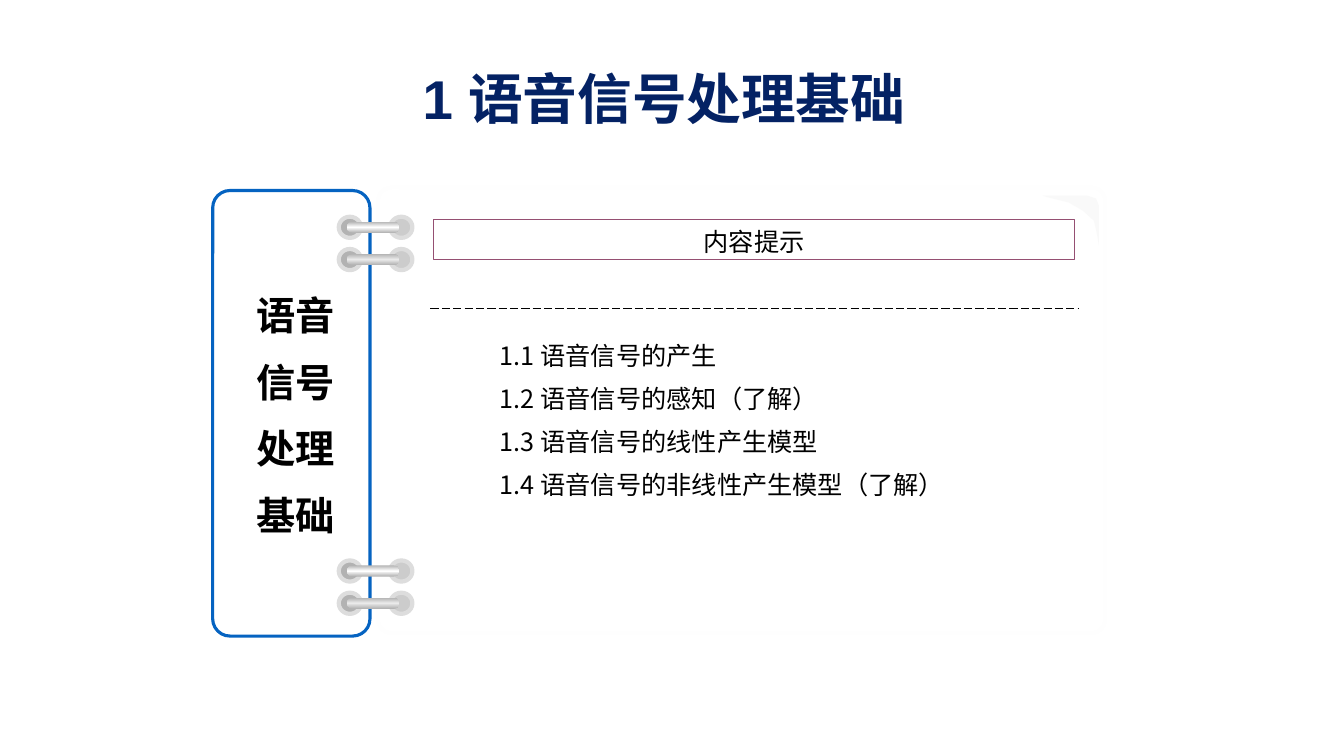
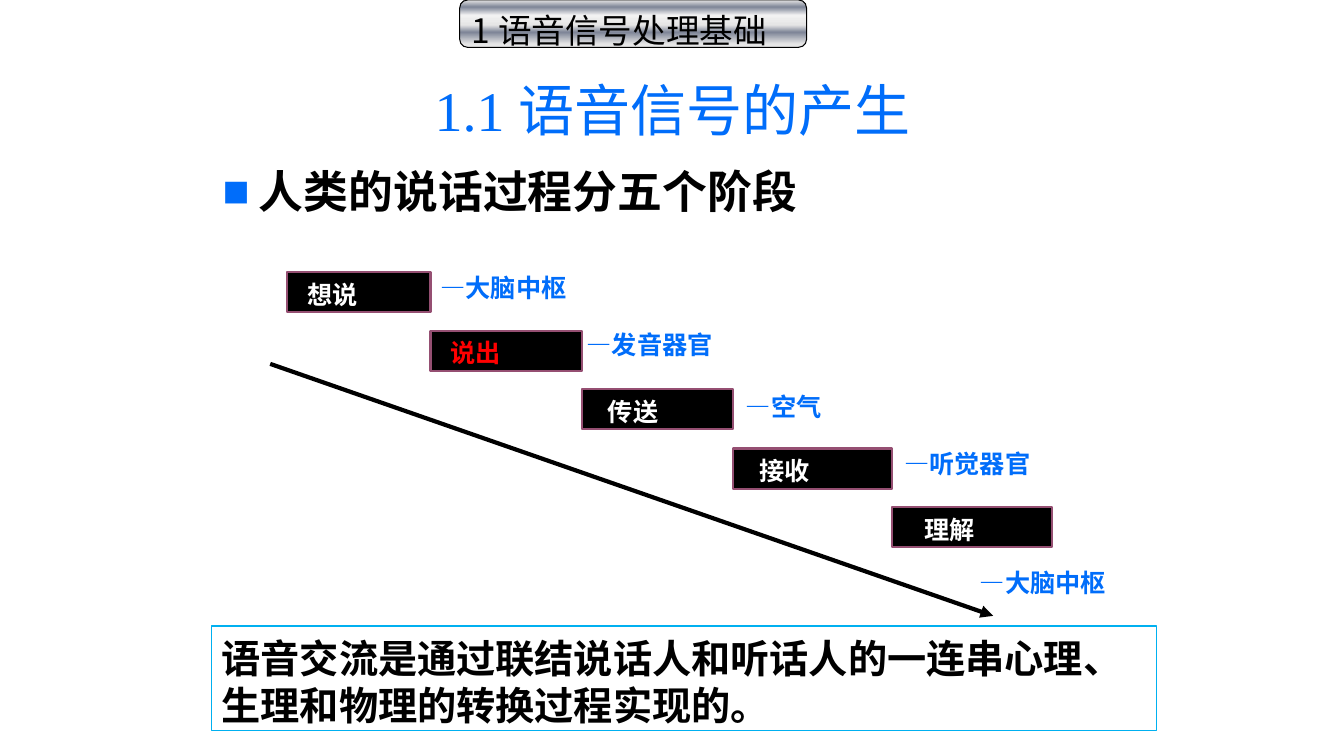
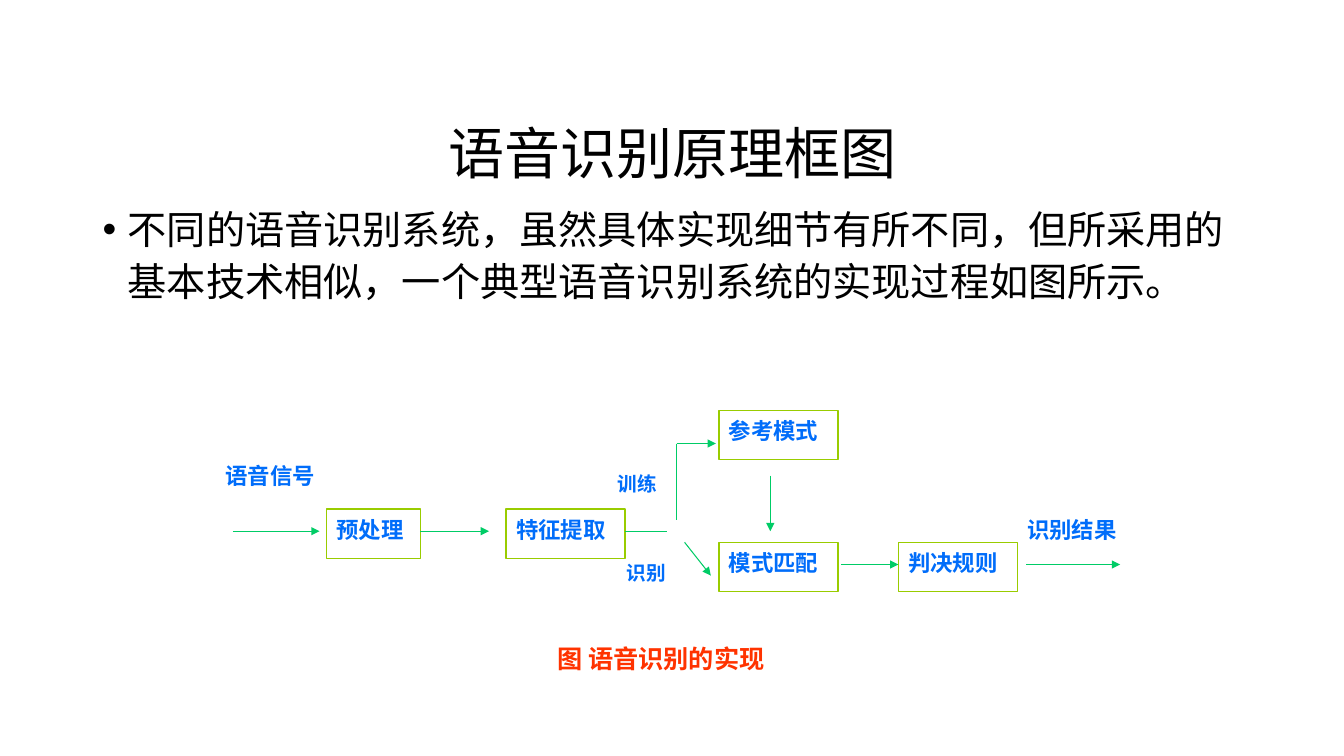
import lxml.etree
import pptx
import pptx.dml.color
import pptx.enum.dml
import pptx.enum.shapes
import pptx.enum.text
import pptx.oxml.ns
import pptx.util

PX = 9144  # one hundredth of an inch in EMU
CJK = "Noto Sans CJK SC"
RGBColor = pptx.dml.color.RGBColor
BLACK = RGBColor(0x00, 0x00, 0x00)
WHITE = RGBColor(0xFF, 0xFF, 0xFF)
NAVY = RGBColor(0x04, 0x22, 0x64)
BLUE = RGBColor(0x00, 0x6D, 0xFA)
BORDER_BLUE = RGBColor(0x05, 0x63, 0xC1)
SKY = RGBColor(0x00, 0xB0, 0xF0)
PLUM = RGBColor(0x95, 0x4F, 0x72)
RED = RGBColor(0xFF, 0x00, 0x00)
ORANGE = RGBColor(0xFF, 0x33, 0x00)
LIME = RGBColor(0x99, 0xCC, 0x00)
GREEN = RGBColor(0x00, 0xCC, 0x66)
PAGE_EDGE = RGBColor(0xFE, 0xFE, 0xFE)
FOLD = RGBColor(0xF9, 0xF9, 0xF9)
RING = RGBColor(0xDD, 0xDD, 0xDD)
BAR_GREY = RGBColor(0xB2, 0xB2, 0xB2)
BAR_LIGHT = RGBColor(0xEA, 0xEA, 0xEA)
SILVER = RGBColor(0xE6, 0xE6, 0xE6)
PALE = RGBColor(0xF2, 0xF2, 0xF2)
STEEL = RGBColor(0x7D, 0x84, 0x96)

qn = pptx.oxml.ns.qn
SubElement = lxml.etree.SubElement
RECTANGLE = pptx.enum.shapes.MSO_SHAPE.RECTANGLE
ROUNDED = pptx.enum.shapes.MSO_SHAPE.ROUNDED_RECTANGLE
OVAL = pptx.enum.shapes.MSO_SHAPE.OVAL
LEFT = pptx.enum.text.PP_ALIGN.LEFT
CENTER = pptx.enum.text.PP_ALIGN.CENTER
TOP = pptx.enum.text.MSO_ANCHOR.TOP
MIDDLE = pptx.enum.text.MSO_ANCHOR.MIDDLE
BOTTOM = pptx.enum.text.MSO_ANCHOR.BOTTOM


def add_box(slide, frame, kind=RECTANGLE, fill=None, line=None, width=1, corner=None):
    """Add a preset shape; fill is a colour or a list of (percent, colour) stops."""
    shape = slide.shapes.add_shape(kind, *(value * PX for value in frame))
    shape.shadow.inherit = False
    if corner is not None:
        shape.adjustments[0] = corner
    if fill is None:
        shape.fill.background()
    elif isinstance(fill, list):
        shape.fill.gradient()
        shape.fill.gradient_angle = 90
        stops = shape.element.spPr.find(".//" + qn("a:gsLst"))
        stops.clear()
        for percent, color in fill:
            stop = SubElement(stops, qn("a:gs"), pos=str(percent * 1000))
            SubElement(stop, qn("a:srgbClr"), val=str(color))
    else:
        shape.fill.solid()
        shape.fill.fore_color.rgb = fill
    if line is None:
        shape.line.fill.background()
    else:
        shape.line.color.rgb = line
        shape.line.width = pptx.util.Pt(width)
    return shape


def write_text(shape, lines, size, color, bold=False, latin=CJK, align=LEFT, anchor=TOP,
               inset=10, spacing=1.2, gap=0, bullet=None, hanging=0):
    """Write one paragraph per line; spacing and gap are multiples of the text size."""
    frame = shape.text_frame
    drop = round(size * 0.11)  # centres CJK glyphs in their line
    frame_format = {
        "word_wrap": True, "auto_size": pptx.enum.text.MSO_AUTO_SIZE.NONE,
        "vertical_anchor": anchor, "margin_left": inset * PX, "margin_right": 10 * PX,
        "margin_top": (5 + drop) * PX, "margin_bottom": (5 - drop) * PX,
    }
    for name, value in frame_format.items():
        setattr(frame, name, value)
    for index, text in enumerate(lines):
        paragraph = frame.add_paragraph() if index else frame.paragraphs[0]
        paragraph.alignment = align
        paragraph.line_spacing = pptx.util.Pt(size * spacing)
        paragraph.space_before = pptx.util.Pt(size * gap if index else 0)
        if bullet:
            properties = paragraph._p.get_or_add_pPr()
            properties.set("marL", str(hanging * PX))
            properties.set("indent", str(-hanging * PX))
            bullet_color = SubElement(properties, qn("a:buClr"))
            SubElement(bullet_color, qn("a:srgbClr"), val=str(bullet[1]))
            SubElement(properties, qn("a:buFont"), typeface="Arial")
            SubElement(properties, qn("a:buChar"), char=bullet[0])
        run = paragraph.add_run()
        run.text = text
        font_format = {"name": latin, "size": pptx.util.Pt(size), "bold": bold}
        for name, value in font_format.items():
            setattr(run.font, name, value)
        run.font.color.rgb = color
        SubElement(run._r.get_or_add_rPr(), qn("a:ea"), typeface=CJK)


presentation = pptx.Presentation()
presentation.slide_width = 1333 * PX
presentation.slide_height = 750 * PX

# Titles: text, frame, and format
TITLES = [
    ("1 语音信号处理基础", (217, 30, 883, 125),
     {"size": 39, "color": NAVY, "bold": True, "latin": "Arial", "anchor": MIDDLE}),
    ("1.1 语音信号的产生", (92, 40, 1150, 103),
     {"size": 40, "color": BLUE, "latin": "Times New Roman", "anchor": BOTTOM}),
    ("语音识别原理框图", (92, 40, 1150, 145),
     {"size": 40, "color": BLACK, "anchor": BOTTOM}),
]
slides = []
for text, (left, top, width, height), text_format in TITLES:
    slide = presentation.slides.add_slide(presentation.slide_layouts[5])
    title = slide.shapes.title
    title_frame = {"left": left, "top": top, "width": width, "height": height}
    for name, value in title_frame.items():
        setattr(title, name, value * PX)
    write_text(title, [text], align=CENTER, **text_format)
    slides.append(slide)
contents_slide, stages_slide, recognition_slide = slides

# Contents: a ring-bound notebook
add_box(contents_slide, (211, 189, 156, 442), ROUNDED, WHITE, BORDER_BLUE, 2.25, 0.11)
add_box(contents_slide, (375, 186, 721, 442), ROUNDED, None, PAGE_EDGE, 2.25, 0.03)
builder = contents_slide.shapes.build_freeform(1034, 194, scale=PX)
builder.add_line_segments([(1078, 194), (1087, 197), (1090, 204), (1090, 244), (1088, 232),
                           (1085, 219), (1074, 209), (1060, 201), (1040, 196)])
fold = builder.convert_to_shape()
fold.shadow.inherit = False
fold.fill.solid()
fold.fill.fore_color.rgb = FOLD
fold.line.fill.background()

for pair_top in (215, 556):
    for offset, middle in ((32, BAR_LIGHT), (0, WHITE)):
        top = pair_top + offset
        for left, opacity in ((387, 20), (336, 30)):
            hole = add_box(contents_slide, (left, top, 22, 21), OVAL, BLACK, RING, 3)
            hole_color = hole.element.spPr.find(qn("a:solidFill"))[0]
            SubElement(hole_color, qn("a:alpha"), val=str(opacity * 1000))
        stops = [(0, BAR_GREY), (50, middle), (100, BAR_GREY)]
        add_box(contents_slide, (344, top + 5, 52, 11), ROUNDED, stops, corner=0.5)

heading = add_box(contents_slide, (430, 218, 636, 40), line=PLUM, width=0.75)
write_text(heading, ["内容提示"], 18, BLACK, latin="Arial", align=CENTER)

# Stages: banner and five steps
banner_stops = [(7, SILVER), (32, STEEL), (47, SILVER), (68, PALE), (85, STEEL), (100, SILVER)]
banner = add_box(stages_slide, (456, 0, 344, 47), ROUNDED, banner_stops, BLACK, 0.75)
write_text(banner, ["1 语音信号处理基础"], 24, BLACK)

STAGES = [
    ("想说", 285, 142, 20, WHITE),
    ("说出", 427, 150, 20, RED),
    ("传送", 577, 150, 26, WHITE),
    ("接收", 727, 158, 26, WHITE),
    ("理解", 885, 158, 32, WHITE),
]
for index, (text, left, width, inset, color) in enumerate(STAGES):
    top = 270 + round(index * 58.25)
    stage = add_box(stages_slide, (left, top, width, 40), fill=BLACK, line=PLUM, width=1.5)
    write_text(stage, [text], 18, color, bold=True, inset=inset)

summary = add_box(stages_slide, (210, 621, 937, 104), line=SKY)
write_text(summary, ["语音交流是通过联结说话人和听话人的一连串心理、生理和物理的转换过程实现的。"],
           28, BLACK, bold=True)

# Recognition: block diagram
BLOCKS = [
    ("预处理", 324, 505, 93),
    ("特征提取", 502, 505, 118),
    ("参考模式", 713, 407, 118),
    ("模式匹配", 713, 538, 118),
    ("判决规则", 891, 538, 118),
]
for text, left, top, width in BLOCKS:
    block = add_box(recognition_slide, (left, top, width, 49), line=LIME)
    write_text(block, [text], 16, BLUE, bold=True)

# Free text on all slides
CONTENTS = ["1.1 语音信号的产生", "1.2 语音信号的感知（了解）",
            "1.3 语音信号的线性产生模型", "1.4 语音信号的非线性产生模型（了解）"]
STAGE_LABEL = {"size": 18, "color": BLUE, "bold": True}
FLOW_LABEL = {"size": 16, "color": BLUE, "bold": True}
BRANCH_LABEL = {"size": 14, "color": BLUE, "bold": True}
TEXTS = [
    (contents_slide, (486, 331, 618, 177), CONTENTS, {"size": 18, "color": BLACK, "gap": 0.5}),
    (contents_slide, (214, 281, 158, 269), ["语音", "信号", "处理", "基础"],
     {"size": 28, "color": BLACK, "bold": True, "latin": "Arial", "align": CENTER, "gap": 0.5}),
    (stages_slide, (211, 140, 669, 77), ["人类的说话过程分五个阶段"],
     {"size": 32, "color": BLACK, "bold": True, "latin": "Arial", "spacing": 1.5,
      "bullet": ("■", BLUE), "hanging": 36}),
    (stages_slide, (427, 263, 255, 40), ["—大脑中枢"], STAGE_LABEL),
    (stages_slide, (572, 320, 255, 40), ["—发音器官"], STAGE_LABEL),
    (stages_slide, (730, 381, 255, 40), ["—空气"], STAGE_LABEL),
    (stages_slide, (887, 438, 255, 40), ["—听觉器官"], STAGE_LABEL),
    (stages_slide, (962, 556, 255, 40), ["—大脑中枢"], STAGE_LABEL),
    (recognition_slide, (92, 191, 1150, 120),
     ["不同的语音识别系统，虽然具体实现细节有所不同，但所采用的基本技术相似，"
      "一个典型语音识别系统的实现过程如图所示。"],
     {"size": 28, "color": BLACK, "spacing": 1.33, "bullet": ("•", BLACK), "hanging": 25}),
    (recognition_slide, (214, 451, 127, 55), ["语音信号"], FLOW_LABEL),
    (recognition_slide, (1009, 505, 118, 47), ["识别结果"], FLOW_LABEL),
    (recognition_slide, (603, 461, 66, 34), ["训练"], BRANCH_LABEL),
    (recognition_slide, (612, 549, 66, 34), ["识别"], BRANCH_LABEL),
    (recognition_slide, (458, 631, 395, 40), ["图 语音识别的实现"],
     {"size": 18, "color": ORANGE, "bold": True, "align": CENTER}),
]
for slide, frame, lines, text_format in TEXTS:
    text_box = slide.shapes.add_textbox(*(value * PX for value in frame))
    write_text(text_box, lines, **text_format)

# Lines: slide, ends, colour, width, arrowhead, dash
LINES = [
    (contents_slide, (427, 306, 1069, 306), BLACK, 0.75, False, True),
    (stages_slide, (268, 361, 985, 611), BLACK, 3, True, False),
]
FLOWS = [
    ((231, 527, 317, 527), True),
    ((417, 527, 485, 527), True),
    ((620, 527, 662, 527), False),
    ((671, 440, 671, 516), False),
    ((671, 440, 710, 440), True),
    ((679, 538, 705, 571), True),
    ((764, 472, 764, 527), True),
    ((834, 560, 891, 560), True),
    ((1018, 560, 1111, 560), True),
]
LINES += [(recognition_slide, ends, GREEN, 0.75, arrow, False) for ends, arrow in FLOWS]
for slide, ends, color, width, arrow, dashed in LINES:
    connector = slide.shapes.add_connector(
        pptx.enum.shapes.MSO_CONNECTOR.STRAIGHT, *(value * PX for value in ends))
    connector.line.color.rgb = color
    connector.line.width = pptx.util.Pt(width)
    if dashed:
        connector.line.dash_style = pptx.enum.dml.MSO_LINE.LONG_DASH
    properties = connector.element.spPr
    if arrow:
        SubElement(properties.find(qn("a:ln")), qn("a:tailEnd"), type="triangle")
    SubElement(properties, qn("a:effectLst"))

presentation.save("out.pptx")
